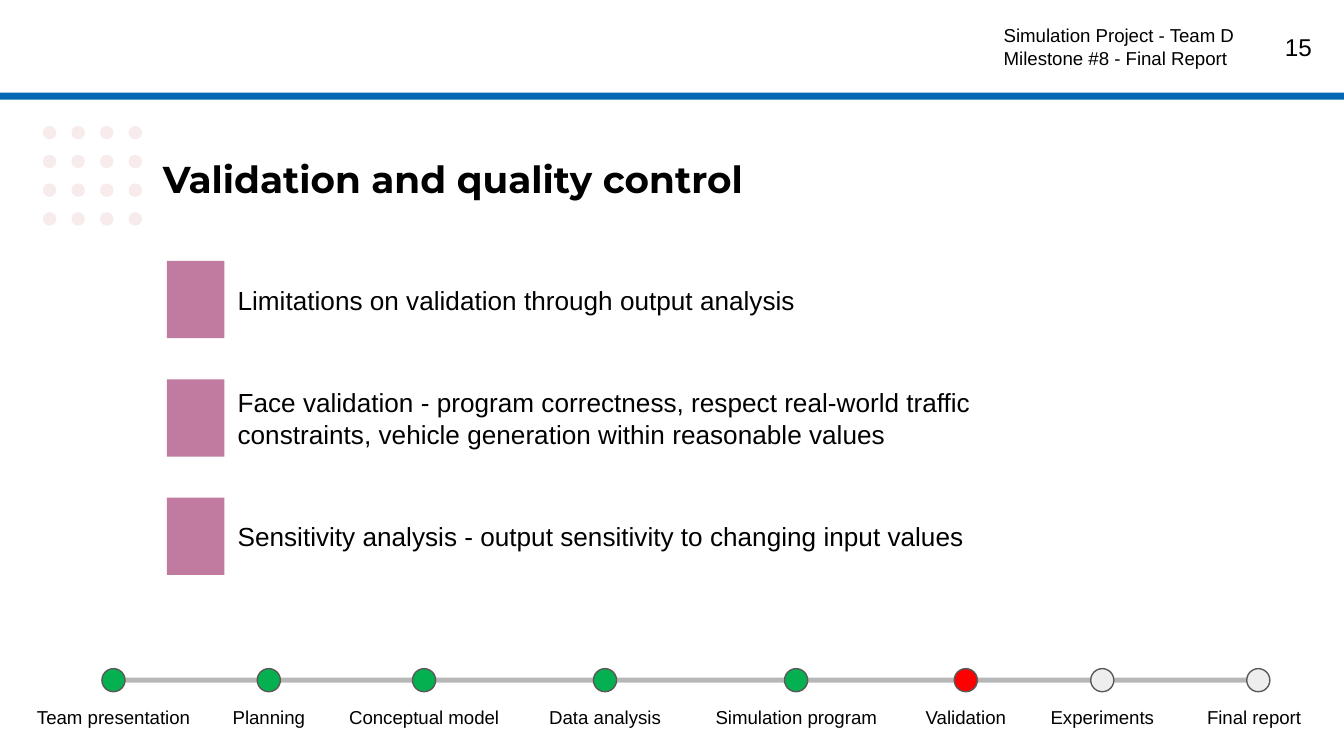
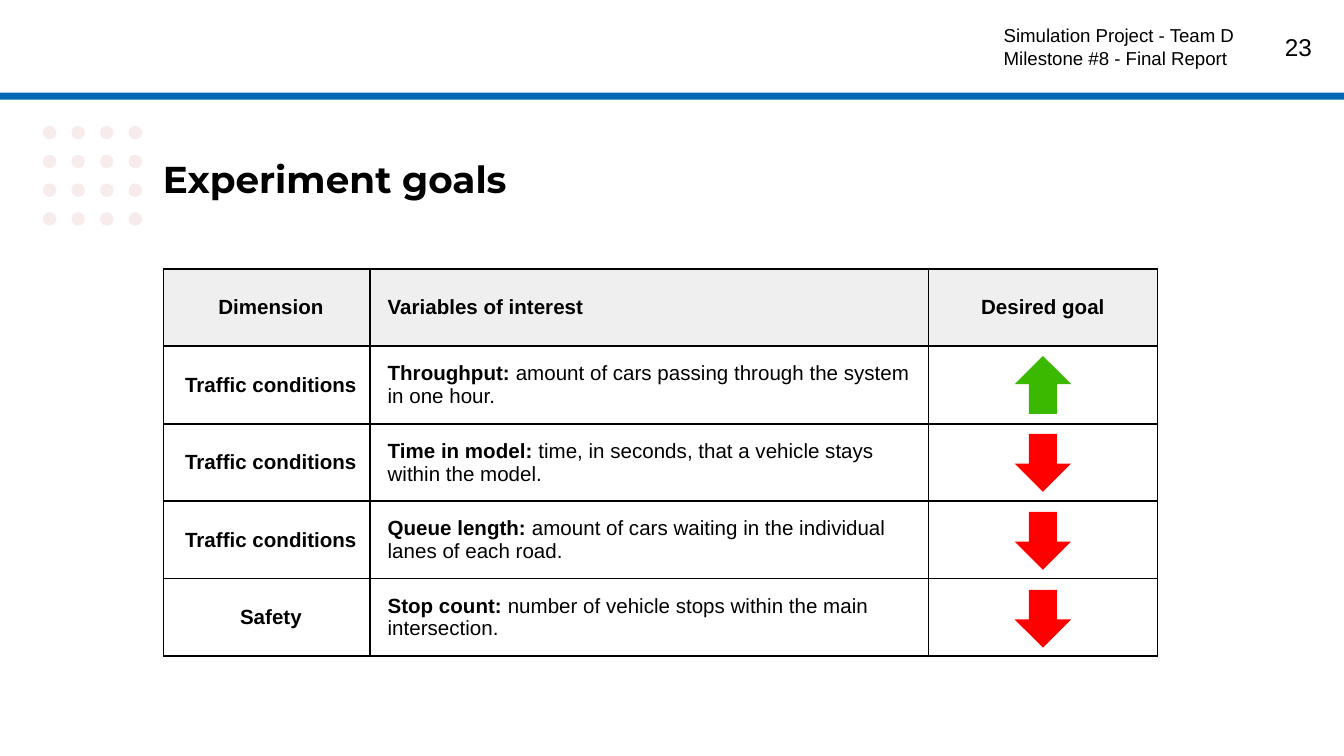
"""Build two slides of a traffic simulation report."""
from dataclasses import dataclass
from itertools import product

from lxml import etree
from pptx import Presentation
from pptx.dml.color import RGBColor
from pptx.enum.shapes import MSO_SHAPE
from pptx.enum.text import MSO_ANCHOR, MSO_AUTO_SIZE, PP_ALIGN
from pptx.oxml.ns import qn
from pptx.util import Pt

RECT, OVAL, ARROW = MSO_SHAPE.RECTANGLE, MSO_SHAPE.OVAL, MSO_SHAPE.UP_ARROW
LEFT, MID, RIGHT = PP_ALIGN.LEFT, PP_ALIGN.CENTER, PP_ALIGN.RIGHT
TOP, CENTER = MSO_ANCHOR.TOP, MSO_ANCHOR.MIDDLE
FIXED = MSO_AUTO_SIZE.NONE

BLACK, WHITE, BLUE, PALE = "000000", "FFFFFF", "0268B4", "F7EBEB"
GREEN, RED, OPEN, EDGE = "05B050", "FF0000", "EEEEEE", "595959"
RAIL, PINK, HEAD, UP = "B7B7B7", "C27BA0", "EFEFEF", "3AB900"
BODY, BOLD = "Arial", "Montserrat"
WIDE, HIGH, BAND = 720, 405, 49.7


@dataclass(frozen=True)
class Box:
    """Place and size in points."""
    x: float
    y: float
    w: float
    h: float


@dataclass(frozen=True)
class Stop:
    """One step of the progress rail."""
    name: str
    mid: float
    wide: float
    tint: str
    shift: float = 0


@dataclass(frozen=True)
class Goal:
    """One row of the goals table."""
    kind: str
    term: str
    text: str
    rise: bool = False


STOPS = [
    Stop("Team presentation", 60.8, 100.8, GREEN),
    Stop("Planning", 144, 57, GREEN),
    Stop("Conceptual model", 227.2, 100.8, GREEN),
    Stop("Data analysis", 324.1, 83.5, GREEN),
    Stop("Simulation program", 426.5, 111.6, GREEN),
    Stop("Validation", 517.4, 61.2, RED),
    Stop("Experiments", 590.5, 76.3, OPEN),
    Stop("Final report", 674.1, 76.3, OPEN, -2.3),
]
POINTS = [
    "Limitations on validation through output analysis",
    "Face validation - program correctness, respect real-world traffic "
    "constraints, vehicle generation within reasonable values",
    "Sensitivity analysis - output sensitivity to changing input values",
]
GOALS = [
    Goal("Traffic conditions", "Throughput:",
         " amount of cars passing through the system in one hour.", True),
    Goal("Traffic conditions", "Time in model:",
         " time, in seconds, that a vehicle stays within the model."),
    Goal("Traffic conditions", "Queue length:",
         " amount of cars waiting in the individual lanes of each road."),
    Goal("Safety", "Stop count:",
         " number of vehicle stops within the main intersection."),
]


def ink(code: str) -> RGBColor:
    """Turn a hex string into a colour."""
    return RGBColor.from_string(code)


def add_run(para, text: str, size: float, face: str = BODY, bold: bool = False) -> None:
    """Add one black run to a paragraph."""
    run = para.add_run()
    run.text = text
    font = run.font
    font.size, font.name, font.bold = Pt(size), face, bold
    font.color.rgb = ink(BLACK)


def add_form(slide, form, box: Box, tint: str, edge: str = ""):
    """Draw a filled shape, with a thin outline if an edge is named."""
    shape = slide.shapes.add_shape(form, Pt(box.x), Pt(box.y), Pt(box.w), Pt(box.h))
    shape.shadow.inherit = False
    shape.fill.solid()
    shape.fill.fore_color.rgb = ink(tint)
    if edge:
        shape.line.color.rgb = ink(edge)
        shape.line.width = Pt(0.75)
    else:
        shape.line.fill.background()
    return shape


def set_frame(frame, anchor) -> None:
    """Give a text frame its margins, wrap and anchor."""
    frame.margin_left = frame.margin_right = Pt(7.2)
    frame.margin_top = frame.margin_bottom = Pt(7.2)
    frame.auto_size = FIXED
    frame.word_wrap = True
    frame.vertical_anchor = anchor


def add_text(slide, box: Box, lines: list[str], size: float,
             align=LEFT, anchor=TOP) -> None:
    """Add a text box with one paragraph for each line."""
    shape = slide.shapes.add_textbox(Pt(box.x), Pt(box.y), Pt(box.w), Pt(box.h))
    frame = shape.text_frame
    set_frame(frame, anchor)
    for i, line in enumerate(lines):
        para = frame.add_paragraph() if i else frame.paragraphs[0]
        para.alignment = align
        add_run(para, line, size)


def add_page(deck, title: str, page: int):
    """Add a slide with its dots, band, title and header."""
    slide = deck.slides.add_slide(deck.slide_layouts[5])
    for row, col in product(range(4), repeat=2):
        add_form(slide, OVAL, Box(23 + 15.3 * col, 67.5 + 15.4 * row, 7.2, 7.2), PALE)
    add_form(slide, RECT, Box(0, 0, WIDE, BAND), WHITE)
    add_form(slide, RECT, Box(0, BAND, WIDE, 3.8), BLUE)

    head = slide.shapes.title
    head.left, head.top, head.width, head.height = Pt(80), Pt(72.7), Pt(337.7), Pt(45.4)
    set_frame(head.text_frame, CENTER)
    para = head.text_frame.paragraphs[0]
    para.alignment = LEFT
    add_run(para, title, 20, BOLD, True)

    add_text(slide, Box(666.7, 10.1, 43.2, 31), [str(page)], 13, RIGHT)
    add_text(slide, Box(530.6, 5.8, 149.8, 37.4),
             ["Simulation Project - Team D", "Milestone #8 - Final Report"], 10)
    return slide


def add_rail(slide) -> None:
    """Draw the progress rail with its stops."""
    size = 12.4
    add_form(slide, RECT, Box(61.2, 363.1, 612, 2.6), RAIL)
    for stop in STOPS:
        add_form(slide, OVAL, Box(stop.mid - size / 2, 358.2, size, size), stop.tint, EDGE)
        left = stop.mid + stop.shift - stop.wide / 2
        add_text(slide, Box(left, 370.8, stop.wide, 26), [stop.name], 10, MID)


def add_points(slide) -> None:
    """Draw the bars and their statements."""
    for i, text in enumerate(POINTS):
        top = 139.8 + 63.4 * i
        add_form(slide, RECT, Box(89.4, top, 30.8, 41.4), PINK)
        add_text(slide, Box(120.2, top, 445, 41.4), [text], 14, anchor=CENTER)


def set_cell(cell, runs: list[tuple[str, bool]], align, tint: str, indent: float) -> None:
    """Set the margins, border, fill and runs of a cell."""
    cell.margin_left = cell.margin_right = Pt(5)
    cell.margin_top = cell.margin_bottom = Pt(5)
    cell.vertical_anchor = CENTER
    props = cell._tc.get_or_add_tcPr()
    for side in ("lnL", "lnR", "lnT", "lnB"):
        line = etree.SubElement(props, qn(f"a:{side}"), w=str(Pt(1)))
        fill = etree.SubElement(line, qn("a:solidFill"))
        etree.SubElement(fill, qn("a:srgbClr"), val=BLACK)
    if tint:
        cell.fill.solid()
        cell.fill.fore_color.rgb = ink(tint)
    else:
        cell.fill.background()
    para = cell.text_frame.paragraphs[0]
    para.alignment = align
    para._p.get_or_add_pPr().set("marL", str(Pt(indent)))
    for text, bold in runs:
        add_run(para, text, 11, bold=bold)


def add_goals(slide) -> None:
    """Draw the goals table and its arrows."""
    wides, tall = (110.8, 299, 122.7), 41.5
    rows = [[[("Dimension", True)], [("Variables of interest", True)],
             [("Desired goal", True)]]]
    rows += [[[(goal.kind, True)], [(goal.term, True), (goal.text, False)], []]
             for goal in GOALS]
    frame = slide.shapes.add_table(len(rows), len(wides), Pt(87.6), Pt(144),
                                   Pt(sum(wides)), Pt(tall * len(rows)))
    table = frame.table
    table.first_row = table.horz_banding = False
    for col, wide in zip(table.columns, wides):
        col.width = Pt(wide)
    for r, row in enumerate(rows):
        table.rows[r].height = Pt(tall)
        for c, runs in enumerate(row):
            set_cell(table.cell(r, c), runs, LEFT if c == 1 else MID,
                     "" if r else HEAD, 4.3 if c < 2 else 0)
    for i, goal in enumerate(GOALS):
        arrow = add_form(slide, ARROW, Box(543.6, 190.7 + 41.75 * i, 30.2, 31),
                         UP if goal.rise else RED)
        arrow.rotation = 0 if goal.rise else 180


def main() -> None:
    """Build and save the deck."""
    deck = Presentation()
    deck.slide_width, deck.slide_height = Pt(WIDE), Pt(HIGH)
    check = add_page(deck, "Validation and quality control", 15)
    add_rail(check)
    add_points(check)
    add_goals(add_page(deck, "Experiment goals", 23))
    deck.save("out.pptx")


if __name__ == "__main__":
    main()
